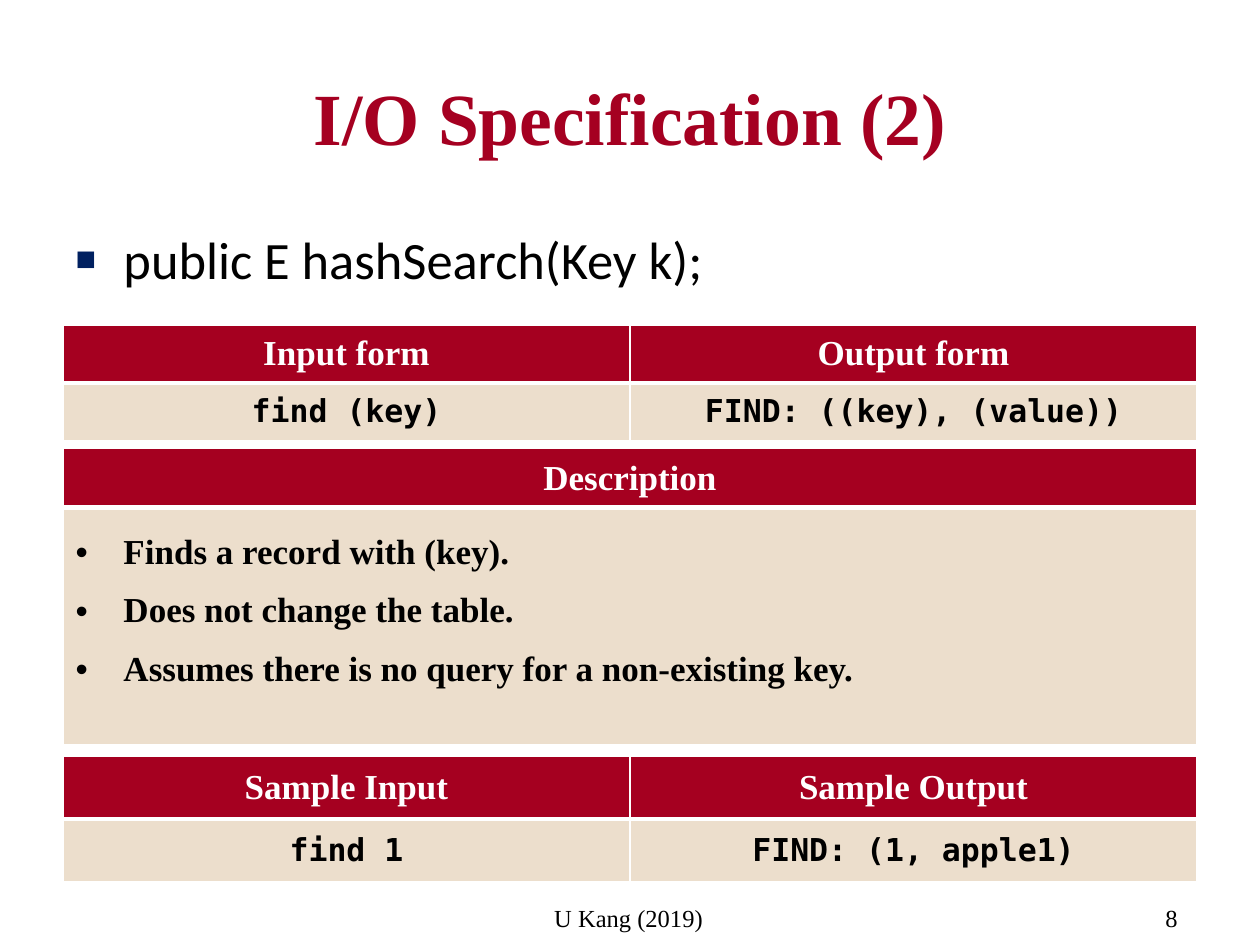
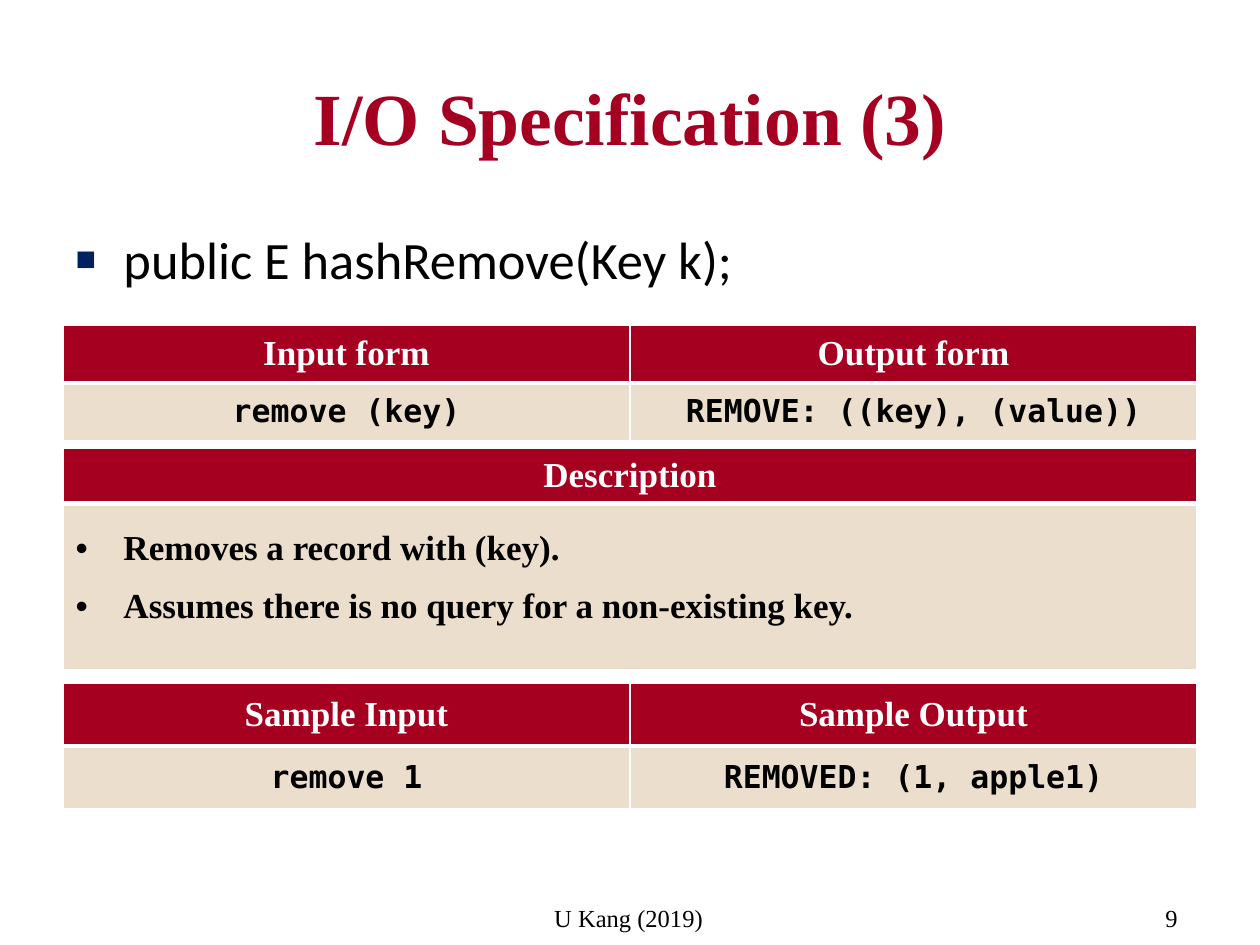
from lxml import etree
from pptx import Presentation
from pptx import util as u
from pptx.dml.color import RGBColor
from pptx.enum import text
from pptx.oxml import ns

FIRST_PAGE = 8
FOOTER = "U Kang (2019)"
SPECS = [
    {"title": "I/O Specification (2)",
     "method": "public E hashSearch(Key k);",
     "forms": ("find (key)", "FIND: ((key), (value))"),
     "samples": ("find 1", "FIND: (1, apple1)"),
     "description": ["Finds a record with (key).",
                     "Does not change the table.",
                     "Assumes there is no query for a non-existing key."],
     "description_rows": (0.47, 1.88), "samples_top": 6},
    {"title": "I/O Specification (3)",
     "method": "public E hashRemove(Key k);",
     "forms": ("remove (key)", "REMOVE: ((key), (value))"),
     "samples": ("remove 1", "REMOVED: (1, apple1)"),
     "description": ["Removes a record with (key).",
                     "Assumes there is no query for a non-existing key."],
     "description_rows": (0.4, 1.32), "samples_top": 5.42},
]

TITLE_RED, HEADER_RED, SAND = "A50021", "A50020", "ECDECC"
NAVY, BLACK, WHITE = "002060", "000000", "FFFFFF"
SERIF, SANS, MONO = "Times New Roman", "Calibri", "DejaVu Sans Mono"
LEFT, WIDTH, INDENT = 0.5, 9, 0.38
FORMS_TOP, DESCRIPTION_TOP = 2.58, 3.56
CENTER = text.PP_ALIGN.CENTER


def color(hex_code):
    """Turn a hex string into a colour."""
    return RGBColor.from_string(hex_code)


def add(parent, tag, **attributes):
    """Append a DrawingML element and return it."""
    return etree.SubElement(parent, ns.qn("a:" + tag), attributes)


def style(paragraph, size, face, hex_code, bold=False, align=None):
    """Set the font and alignment of a paragraph."""
    font = paragraph.font
    font.size, font.name, font.bold = u.Pt(size), face, bold
    font.color.rgb = color(hex_code)
    if align is not None:
        paragraph.alignment = align


def bullet(paragraph, mark, hex_code=BLACK, percent=100):
    """Give a paragraph a hanging bullet; call it before style."""
    props = paragraph._p.get_or_add_pPr()
    props.set("marL", str(u.Inches(INDENT)))
    props.set("indent", str(-u.Inches(INDENT)))
    add(add(props, "buClr"), "srgbClr", val=hex_code)
    add(props, "buSzPct", val=str(percent * 1000))
    add(props, "buFont", typeface="Arial")
    add(props, "buChar", char=mark)


def place(shape, left, top, width, height):
    """Move and size a shape, in inches."""
    shape.left, shape.top = u.Inches(left), u.Inches(top)
    shape.width, shape.height = u.Inches(width), u.Inches(height)


def paint(cell, fill, top, bottom):
    """Fill a cell and draw its white borders, widths in points."""
    props = cell._tc.get_or_add_tcPr()
    for side, width in zip("LRTB", (1, 1, top, bottom)):
        line = add(props, "ln" + side, w=str(u.Pt(width)))
        add(add(line, "solidFill"), "srgbClr", val=WHITE)
    cell.fill.solid()
    cell.fill.fore_color.rgb = color(fill)


def add_grid(slide, top, row_heights, headers):
    """Add a two-row table with a red header; return its lower cells."""
    grid = slide.shapes.add_table(
        2, len(headers), u.Inches(LEFT), u.Inches(top),
        u.Inches(WIDTH), u.Inches(sum(row_heights))).table
    for row, height in zip(grid.rows, row_heights):
        row.height = u.Inches(height)
    for column, header in enumerate(headers):
        head, lower = grid.cell(0, column), grid.cell(1, column)
        paint(head, HEADER_RED, 1, 3)
        paint(lower, SAND, 3, 1)
        head.text = header
        head.vertical_anchor = text.MSO_ANCHOR.MIDDLE
        style(head.text_frame.paragraphs[0], 20, SERIF, WHITE, True, CENTER)
    return list(grid.rows[1].cells)


def add_code_grid(slide, top, row_height, headers, codes):
    """Add a table whose lower row holds centred code."""
    cells = add_grid(slide, top, (row_height, row_height), headers)
    for cell, code in zip(cells, codes):
        cell.text = code
        cell.vertical_anchor = text.MSO_ANCHOR.MIDDLE
        style(cell.text_frame.paragraphs[0], 18, MONO, BLACK, True, CENTER)


def add_description(slide, row_heights, points):
    """Add the description table with its bullet points."""
    cell, = add_grid(slide, DESCRIPTION_TOP, row_heights, ["Description"])
    cell.text = "\n".join(points)
    for paragraph in cell.text_frame.paragraphs:
        paragraph.line_spacing = 1.5
        bullet(paragraph, "•")
        style(paragraph, 20, SERIF, BLACK, True)


def add_footer_box(slide, left, width):
    """Add an empty footer text box and return its paragraph."""
    box = slide.shapes.add_textbox(u.Inches(left), u.Inches(7.12),
                                   u.Inches(width), u.Inches(0.34))
    box.text_frame.word_wrap = False
    return box.text_frame.paragraphs[0]


def add_footer(slide, page):
    """Add the author line and the slide number field."""
    author = add_footer_box(slide, 4.3, 1.39)
    author.text = FOOTER
    style(author, 14, SERIF, BLACK)
    number = add_footer_box(slide, 9.15, 0.43)
    style(number, 14, SERIF, BLACK)
    field = add(number._p, "fld", type="slidenum",
                id="{B6F15528-21DE-4FAA-801E-634DDDAF4B2B}")
    add(field, "rPr", lang="en-US")
    add(field, "t").text = str(page)


def add_spec_slide(deck, page, spec):
    """Build one specification slide."""
    slide = deck.slides.add_slide(deck.slide_layouts[1])
    add_footer(slide, page)
    title, method = slide.placeholders
    place(title, LEFT, 0.3, WIDTH, 1.25)
    title.text = spec["title"]
    style(title.text_frame.paragraphs[0], 42, SERIF, TITLE_RED, True, CENTER)
    place(method, LEFT, 1.75, WIDTH, 5.25)
    method.text = spec["method"]
    signature = method.text_frame.paragraphs[0]
    signature.space_before = u.Pt(6)
    bullet(signature, "■", NAVY, 65)
    style(signature, 30, SANS, BLACK)
    add_code_grid(slide, FORMS_TOP, 0.46,
                  ("Input form", "Output form"), spec["forms"])
    add_code_grid(slide, spec["samples_top"], 0.5,
                  ("Sample Input", "Sample Output"), spec["samples"])
    add_description(slide, spec["description_rows"], spec["description"])


deck = Presentation()
deck.slide_width, deck.slide_height = u.Inches(10), u.Inches(7.5)
deck.element.set("firstSlideNum", str(FIRST_PAGE))
for page, spec in enumerate(SPECS, FIRST_PAGE):
    add_spec_slide(deck, page, spec)
deck.save("out.pptx")
